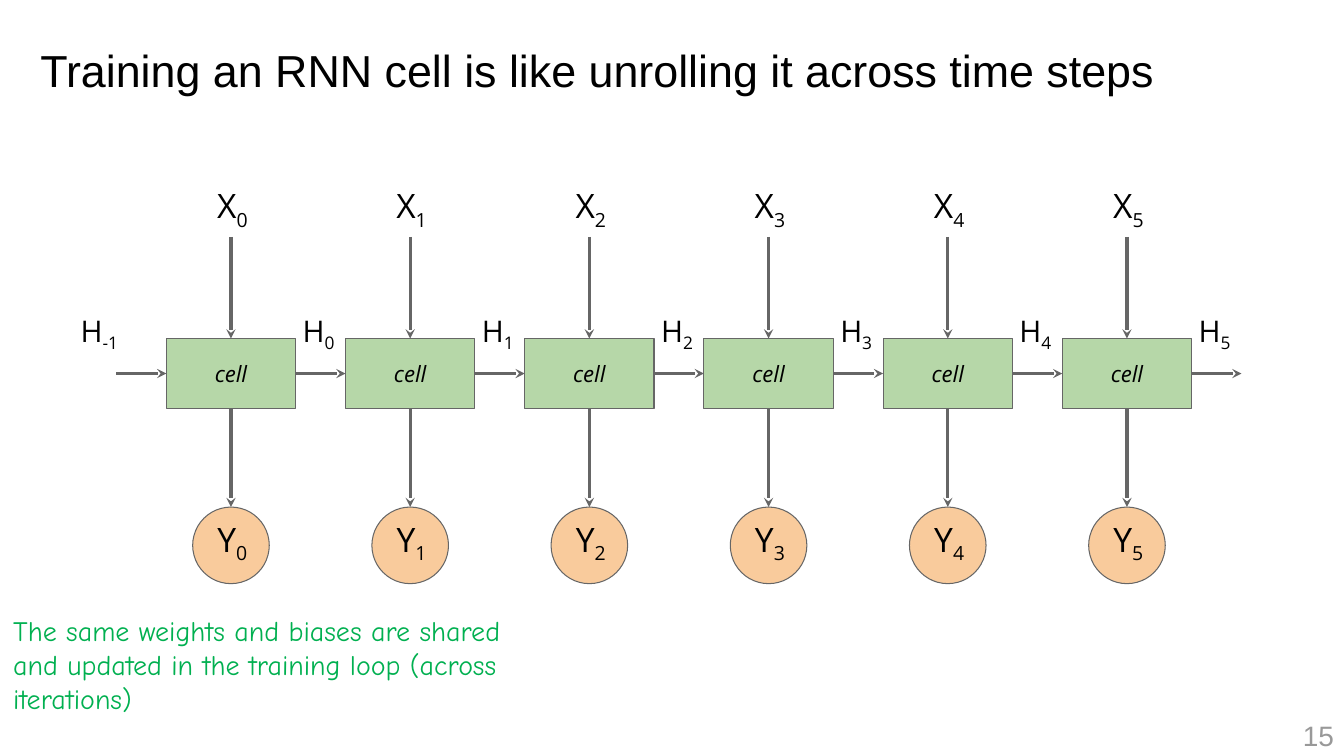
from pptx import Presentation
from pptx.dml.color import RGBColor
from pptx.enum.shapes import MSO_CONNECTOR, MSO_SHAPE
from pptx.enum.text import MSO_ANCHOR, MSO_AUTO_SIZE, PP_ALIGN
from pptx.oxml.ns import qn
from pptx.util import Pt
from lxml.etree import SubElement

COLORS = {"text": "000000", "line": "666666", "cell": "B6D7A8",
          "output": "F9CB9C", "note": "00B050", "number": "999999"}

FORMATS = {
    "title": {"name": "Arial", "size": Pt(32)},
    "number": {"name": "Arial", "size": Pt(20)},
    "cell": {"name": "Open Sans", "size": Pt(16), "italic": True},
    "state": {"name": "Open Sans", "size": Pt(21.3)},
    "value": {"name": "Open Sans", "size": Pt(24)},
    "note": {"name": "Comic Neue", "size": Pt(20)},
}

# Lengths in points
STEPS = 6
PITCH = 128
CELL_X, CELL_Y, CELL_W, CELL_H = 118.8, 241.8, 92.4, 50
CIRCLE_Y, CIRCLE_D = 362.2, 54.7
VALUE_W, VALUE_H = 80.6, 52.6
STATE_Y, STATE_H = 211.7, 51.8
INPUT_ARROW_Y = 169.2
ARROW_LEN = PITCH - CELL_W
MID_Y = CELL_Y + CELL_H / 2
INSET = 9.4


class Sketch:
    def __init__(self, slide):
        self.slide = slide

    def fill_text(self, sp, text, style, color="text", sub="",
                  align=PP_ALIGN.LEFT, anchor=MSO_ANCHOR.MIDDLE,
                  insets=(INSET,) * 4):
        tf = sp.text_frame
        left, top, right, bottom = (Pt(v) for v in insets)
        frame = {"word_wrap": True, "auto_size": MSO_AUTO_SIZE.NONE,
                 "vertical_anchor": anchor, "margin_left": left,
                 "margin_top": top, "margin_right": right,
                 "margin_bottom": bottom}
        for name, value in frame.items():
            setattr(tf, name, value)
        p = tf.paragraphs[0]
        p.alignment = align
        for part in filter(None, (text, sub)):
            r = p.add_run()
            r.text = part
            for name, value in FORMATS[style].items():
                setattr(r.font, name, value)
            r.font.color.rgb = RGBColor.from_string(COLORS[color])
        if sub:
            r._r.get_or_add_rPr().set("baseline", "-25000")
        return p

    def title(self, text, x, y, w, h):
        sp = self.slide.shapes.title
        sp.left, sp.top, sp.width, sp.height = Pt(x), Pt(y), Pt(w), Pt(h)
        p = self.fill_text(sp, text, "title", insets=(28.8, 3.6, 7.2, 3.6))
        p.line_spacing = 0.9

    def text(self, text, x, y, w, h, style, **options):
        sp = self.slide.shapes.add_textbox(Pt(x), Pt(y), Pt(w), Pt(h))
        self.fill_text(sp, text, style, **options)

    def box(self, kind, x, y, w, h, fill):
        sp = self.slide.shapes.add_shape(kind, Pt(x), Pt(y), Pt(w), Pt(h))
        sp.shadow.inherit = False
        sp.fill.solid()
        sp.fill.fore_color.rgb = RGBColor.from_string(COLORS[fill])
        sp.line.color.rgb = RGBColor.from_string(COLORS["line"])
        sp.line.width = Pt(0.75)
        return sp

    def arrow(self, x1, y1, x2, y2, begin=None, end=None):
        """begin and end are (shape, side) pairs."""
        cx = self.slide.shapes.add_connector(
            MSO_CONNECTOR.STRAIGHT, Pt(x1), Pt(y1), Pt(x2), Pt(y2))
        if begin:
            cx.begin_connect(*begin)
        if end:
            cx.end_connect(*end)
        cx.line.color.rgb = RGBColor.from_string(COLORS["line"])
        cx.line.width = Pt(2.25)
        spPr = cx._element.spPr
        SubElement(spPr.get_or_add_ln(), qn("a:tailEnd"), type="stealth")
        SubElement(spPr, qn("a:effectLst"))


def main():
    prs = Presentation()
    prs.slide_width, prs.slide_height = Pt(960), Pt(540)
    s = prs.slides.add_slide(prs.slide_layouts[5])
    sketch = Sketch(s)

    # Title and slide number
    sketch.title("Training an RNN cell is like unrolling it across time steps",
                 0, 0, 960, 104.4)
    sketch.text("15", 744, 510.5, 216, 28.8, "number", color="number",
                align=PP_ALIGN.RIGHT, insets=(7.2, 3.6, 7.2, 3.6))

    # Cells
    cells = []
    for i in range(STEPS):
        cell = sketch.box(MSO_SHAPE.RECTANGLE, CELL_X + i * PITCH, CELL_Y,
                          CELL_W, CELL_H, "cell")
        sketch.fill_text(cell, "cell", "cell", align=PP_ALIGN.CENTER)
        cells.append(cell)

    # Initial state
    sketch.arrow(CELL_X - ARROW_LEN, MID_Y, CELL_X, MID_Y, end=(cells[0], 1))
    sketch.text("H", 48.2, STATE_Y, 54.7, STATE_H, "state", sub="-1")

    # Input, output and next state of each time step
    for i, cell in enumerate(cells):
        left = CELL_X + i * PITCH
        right, mid = left + CELL_W, left + CELL_W / 2
        circle = sketch.box(MSO_SHAPE.OVAL, mid - CIRCLE_D / 2, CIRCLE_Y,
                            CIRCLE_D, CIRCLE_D, "output")
        sketch.arrow(mid, INPUT_ARROW_Y, mid, CELL_Y, end=(cell, 0))
        sketch.arrow(mid, CELL_Y + CELL_H, mid, CIRCLE_Y,
                     begin=(cell, 2), end=(circle, 0))
        following = (cells[i + 1], 1) if i + 1 < STEPS else None
        sketch.arrow(right, MID_Y, right + ARROW_LEN, MID_Y,
                     begin=(cell, 3), end=following)
        for letter, y in (("X", 122.4), ("Y", 360.8)):
            sketch.text(letter, mid + 1 - VALUE_W / 2, y, VALUE_W, VALUE_H,
                        "value", sub=str(i), align=PP_ALIGN.CENTER)
        sketch.text("H", right - 4.4, STATE_Y, 46, STATE_H, "state", sub=str(i))

    # Note on shared weights
    sketch.text("The same weights and biases are shared and updated in the "
                "training loop (across iterations)", 0, 429.1, 393.8, 55.4,
                "note", color="note", anchor=MSO_ANCHOR.TOP)

    prs.save("out.pptx")


if __name__ == "__main__":
    main()
